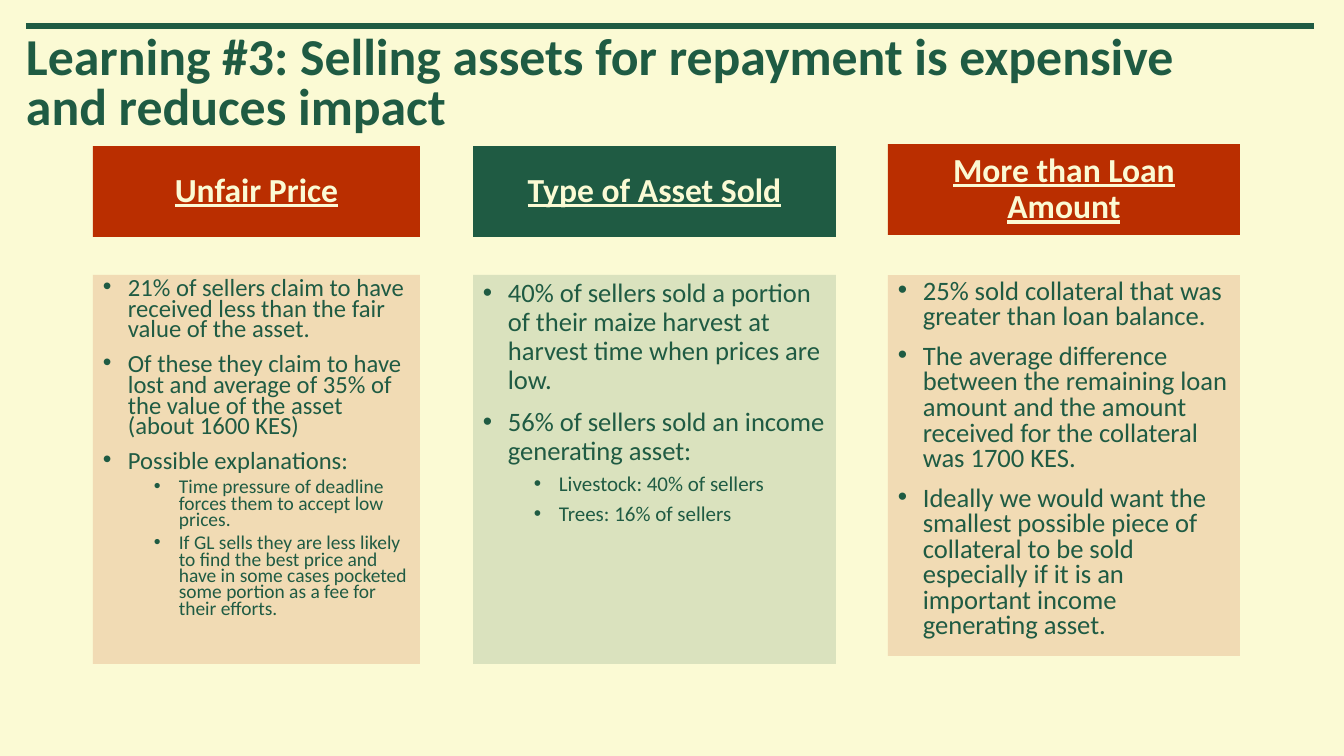
"""Build a slide with three headed columns of findings on selling assets."""
import lxml.etree
import pptx
import pptx.dml.color
import pptx.enum.shapes
import pptx.enum.text
import pptx.oxml.ns
import pptx.util

SLIDE_WIDTH, SLIDE_HEIGHT = 1344, 756
SCALE = 12192000 / SLIDE_WIDTH
CREAM, GREEN, RED = "FBFAD4", "1F5B43", "BA2E00"
FONT = "Calibri"
HEADING_HEIGHT = 91
BODY_TOP = 275
INDENTS = (25, 76)
HANGING = 25
SPACE_BEFORE = (10, 5)

COLUMNS = [
    {
        "heading": "Unfair Price", "colour": RED, "box": (93, 146, 327, 518),
        "spacing": 0.7, "sizes": (17.6, 13.9),
        "points": [
            (0, "21% of sellers claim to have received less than the fair value of the asset."),
            (0, "Of these they claim to have lost and average of 35% of the value of the asset (about 1600 KES)"),
            (0, "Possible explanations:"),
            (1, "Time pressure of deadline forces them to accept low prices."),
            (1, "If GL sells they are less likely to find the best price and have in some cases "
                "pocketed some portion as a fee for their efforts."),
        ],
    },
    {
        "heading": "Type of Asset Sold", "colour": GREEN, "box": (473, 146, 363, 518),
        "spacing": 0.9, "sizes": (19, 15),
        "points": [
            (0, "40% of sellers sold a portion of their maize harvest at harvest time when prices are low."),
            (0, "56% of sellers sold an income generating asset:"),
            (1, "Livestock: 40% of sellers"),
            (1, "Trees: 16% of sellers"),
        ],
    },
    {
        "heading": "More than Loan Amount", "colour": RED, "box": (888, 144, 352, 512),
        "spacing": 0.8, "sizes": (19, 15),
        "points": [
            (0, "25% sold collateral that was greater than loan balance."),
            (0, "The average difference between the remaining loan amount and the amount received "
                "for the collateral was 1700 KES."),
            (0, "Ideally we would want the smallest possible piece of collateral to be sold "
                "especially if it is an important income generating asset."),
        ],
    },
]


def emu(pixels):
    """Turn pixels into EMU."""
    return pptx.util.Emu(round(pixels * SCALE))


def rgb(colour):
    """Turn a hex string into a colour."""
    return pptx.dml.color.RGBColor.from_string(colour)


def add_child(parent, tag, **attributes):
    """Append a DrawingML element to a parent."""
    return lxml.etree.SubElement(parent, pptx.oxml.ns.qn(tag), attributes)


def write(paragraph, text, size, colour, spacing, before=10, bold=None, underline=None):
    """Add one formatted run and set the spacing of its paragraph."""
    paragraph.line_spacing = spacing
    paragraph.space_before = pptx.util.Pt(before)
    run = paragraph.add_run()
    run.text = text
    run.font.name = FONT
    run.font.size = pptx.util.Pt(size)
    run.font.bold = bold
    run.font.underline = underline
    run.font.color.rgb = rgb(colour)


def add_bullet(paragraph, level):
    """Give a paragraph a hanging bullet at its level."""
    paragraph.level = level
    properties = paragraph._p.get_or_add_pPr()
    properties.set("marL", str(emu(INDENTS[level])))
    properties.set("indent", str(-emu(HANGING)))
    add_child(properties, "a:buFont", typeface="Arial")
    add_child(properties, "a:buChar", char="•")


def add_panel(slide, box, colour, opacity=100):
    """Add a filled rectangle without line or shadow."""
    shape = slide.shapes.add_shape(
        pptx.enum.shapes.MSO_SHAPE.RECTANGLE, *map(emu, box))
    shape.shadow.inherit = False
    shape.line.fill.background()
    shape.fill.solid()
    shape.fill.fore_color.rgb = rgb(colour)
    if opacity < 100:
        fill_colour = shape._element.spPr.find(".//" + pptx.oxml.ns.qn("a:srgbClr"))
        add_child(fill_colour, "a:alpha", val=str(opacity * 1000))
    shape.text_frame.word_wrap = True
    return shape


def add_title(slide, box, text):
    """Add the rule across the top and the title below it."""
    left, top, width, height = box
    rule = slide.shapes.add_connector(
        pptx.enum.shapes.MSO_CONNECTOR.STRAIGHT,
        emu(left), emu(top), emu(left + width), emu(top))
    rule.line.color.rgb = rgb(GREEN)
    rule.line.width = pptx.util.Pt(4.25)
    add_child(rule._element.spPr, "a:effectLst")
    title = slide.shapes.add_textbox(
        emu(left), emu(top + 8), emu(width - 117), emu(height - 8))
    frame = title.text_frame
    frame.word_wrap = True
    frame.vertical_anchor = pptx.enum.text.MSO_ANCHOR.MIDDLE
    frame.margin_left = frame.margin_right = frame.margin_top = frame.margin_bottom = 0
    write(frame.paragraphs[0], text, 37, GREEN, 0.8, bold=True)


def add_column(slide, box, heading, colour, spacing, sizes, points):
    """Add a heading panel and a tinted panel of bullet points."""
    left, top, width, height = box
    header = add_panel(slide, (left, top, width, HEADING_HEIGHT), colour)
    header.text_frame.vertical_anchor = pptx.enum.text.MSO_ANCHOR.MIDDLE
    paragraph = header.text_frame.paragraphs[0]
    paragraph.alignment = pptx.enum.text.PP_ALIGN.CENTER
    write(paragraph, heading, 24, CREAM, 0.9, bold=True, underline=True)

    body = add_panel(slide, (left, BODY_TOP, width, top + height - BODY_TOP), colour, 15)
    frame = body.text_frame
    frame.vertical_anchor = pptx.enum.text.MSO_ANCHOR.TOP
    for index, (level, text) in enumerate(points):
        paragraph = frame.add_paragraph() if index else frame.paragraphs[0]
        paragraph.alignment = pptx.enum.text.PP_ALIGN.LEFT
        write(paragraph, text, sizes[level], GREEN, spacing, SPACE_BEFORE[level])
        add_bullet(paragraph, level)


def main():
    """Build and save the presentation."""
    presentation = pptx.Presentation()
    presentation.slide_width = emu(SLIDE_WIDTH)
    presentation.slide_height = emu(SLIDE_HEIGHT)
    slide = presentation.slides.add_slide(presentation.slide_layouts[6])
    slide.background.fill.solid()
    slide.background.fill.fore_color.rgb = rgb(CREAM)
    add_title(slide, (26, 26, 1288, 111),
              "Learning #3: Selling assets for repayment is expensive and reduces impact")
    for column in COLUMNS:
        add_column(slide, **column)
    presentation.save("out.pptx")


main()
